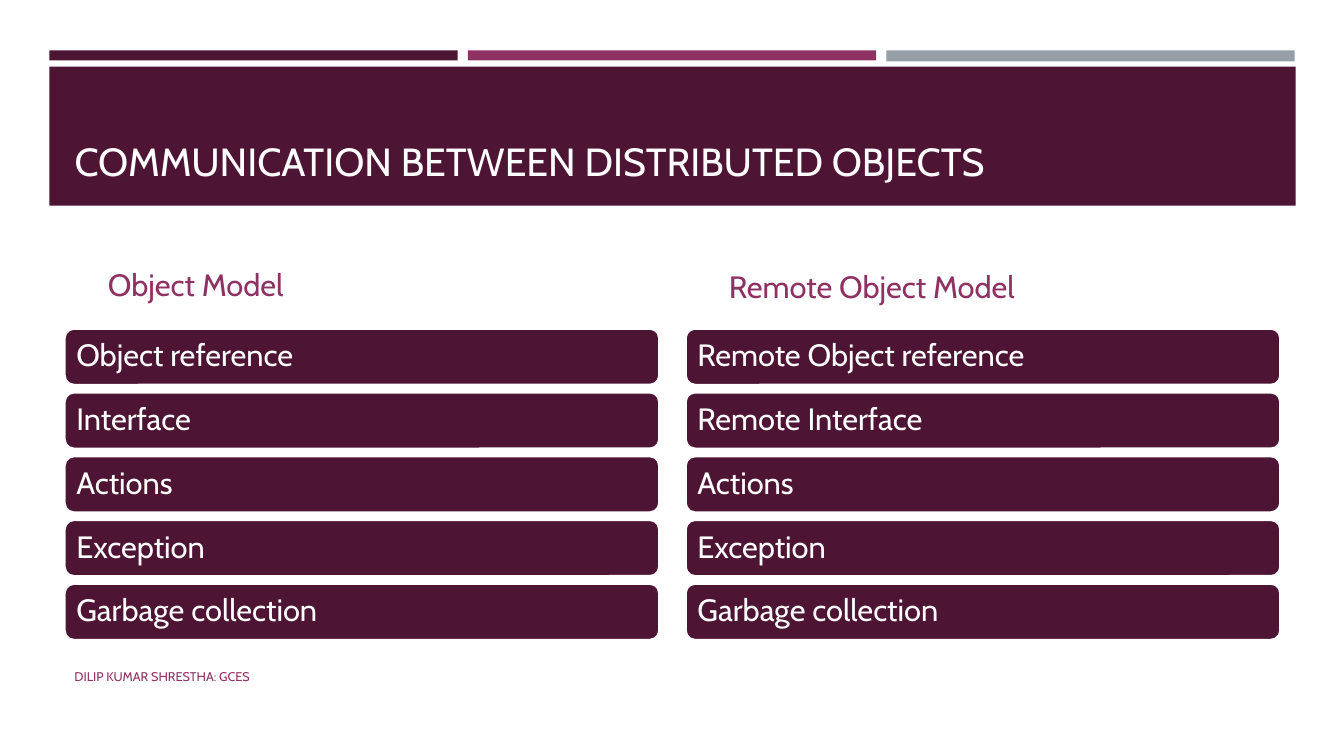
from dataclasses import dataclass

from pptx import Presentation
from pptx.dml.color import RGBColor
from pptx.enum.shapes import MSO_SHAPE
from pptx.enum.text import MSO_ANCHOR, MSO_AUTO_SIZE, PP_ALIGN
from pptx.util import Inches, Pt

RECT = MSO_SHAPE.RECTANGLE
ROUNDED = MSO_SHAPE.ROUNDED_RECTANGLE
MIDDLE = MSO_ANCHOR.MIDDLE
BOTTOM = MSO_ANCHOR.BOTTOM
LEFT = PP_ALIGN.LEFT
NO_AUTOFIT = MSO_AUTO_SIZE.NONE

COLORS = {"plum": "4D1434", "berry": "903163", "gray": "969FA7", "white": "FFFFFF"}
FONT = "Cabin"
COMPARISON_LAYOUT = 4

TILE_TOP = 3.26
TILE_PITCH = (5.79 - TILE_TOP) / 4
TILE_WIDTH, TILE_HEIGHT = 5.9, 0.56


@dataclass
class Bar:
    left: float
    top: float
    width: float
    height: float
    color: str


@dataclass
class Model:
    heading: str
    placeholder: int
    left: float
    heading_height: float
    concepts: list[str]


BARS = [
    Bar(0.49, 0.5, 4.05, 0.1, "plum"),
    Bar(8.79, 0.5, 4.05, 0.11, "gray"),
    Bar(4.64, 0.5, 4.05, 0.1, "berry"),
    Bar(0.49, 0.66, 12.36, 1.38, "plum"),
]
SHARED_CONCEPTS = ["Actions", "Exception", "Garbage collection"]
MODELS = [
    Model("Object Model", 1, 0.64, 0.59,
          ["Object reference", "Interface", *SHARED_CONCEPTS]),
    Model("Remote Object Model", 3, 6.8, 0.61,
          ["Remote Object reference", "Remote Interface", *SHARED_CONCEPTS]),
]


def rgb(color: str) -> RGBColor:
    return RGBColor.from_string(COLORS[color])


def place(shape, left: float, top: float, width: float, height: float) -> None:
    shape.left, shape.top = Inches(left), Inches(top)
    shape.width, shape.height = Inches(width), Inches(height)


def write(shape, text: str, *, size: float, color: str, anchor=MIDDLE,
          inset: float = 0.1, line_spacing: float = 1.0,
          before: float = 0, after: float = 0) -> None:
    frame = shape.text_frame
    frame.word_wrap = True
    frame.auto_size = NO_AUTOFIT
    frame.vertical_anchor = anchor
    frame.margin_left = frame.margin_right = Inches(inset)
    frame.margin_top = frame.margin_bottom = Inches(0.05)
    paragraph = frame.paragraphs[0]
    paragraph.alignment = LEFT
    paragraph.line_spacing = line_spacing
    paragraph.space_before, paragraph.space_after = Pt(before), Pt(after)
    run = paragraph.add_run()
    run.text = text
    run.font.name, run.font.size, run.font.bold = FONT, Pt(size), False
    run.font.color.rgb = rgb(color)


def add_block(slide, kind, left: float, top: float, width: float, height: float,
              color: str):
    block = slide.shapes.add_shape(
        kind, Inches(left), Inches(top), Inches(width), Inches(height))
    block.shadow.inherit = False
    block.fill.solid()
    block.fill.fore_color.rgb = rgb(color)
    block.line.fill.background()
    return block


def add_bars(slide) -> None:
    tree = slide.shapes.element
    for position, bar in enumerate(BARS, start=2):
        strip = add_block(slide, RECT, bar.left, bar.top, bar.width, bar.height, bar.color)
        tree.insert(position, strip.element)  # behind the title


def add_model(slide, model: Model) -> None:
    heading = slide.placeholders[model.placeholder]
    place(heading, model.left + 0.33, 2.46, 5.56, model.heading_height)
    write(heading, model.heading, size=22, color="berry", anchor=BOTTOM,
          before=4.4, after=6)
    for row, concept in enumerate(model.concepts):
        tile = add_block(slide, ROUNDED, model.left, TILE_TOP + row * TILE_PITCH,
                         TILE_WIDTH, TILE_HEIGHT, "plum")
        tile.line.color.rgb = rgb("white")
        tile.line.width = Pt(1.75)
        write(tile, concept, size=22, color="white", inset=0.09, line_spacing=0.9)


def main() -> None:
    deck = Presentation()
    deck.slide_width, deck.slide_height = Inches(13.33), Inches(7.5)
    slide = deck.slides.add_slide(deck.slide_layouts[COMPARISON_LAYOUT])

    # The tiles take the place of the two content placeholders
    for unused in (2, 4):
        content = slide.placeholders[unused].element
        content.getparent().remove(content)

    # Header
    add_bars(slide)
    title = slide.shapes.title
    place(title, 0.64, 0.8, 12.06, 1.08)
    write(title, "COMMUNICATION BETWEEN DISTRIBUTED OBJECTS", size=28,
          color="white", anchor=BOTTOM)

    # Two models side by side
    for model in MODELS:
        add_model(slide, model)

    # Footer
    author = slide.shapes.add_textbox(Inches(0.64), Inches(6.51), Inches(7.56), Inches(0.4))
    write(author, "DILIP KUMAR SHRESTHA: GCES", size=9, color="berry")

    deck.save("out.pptx")


if __name__ == "__main__":
    main()
